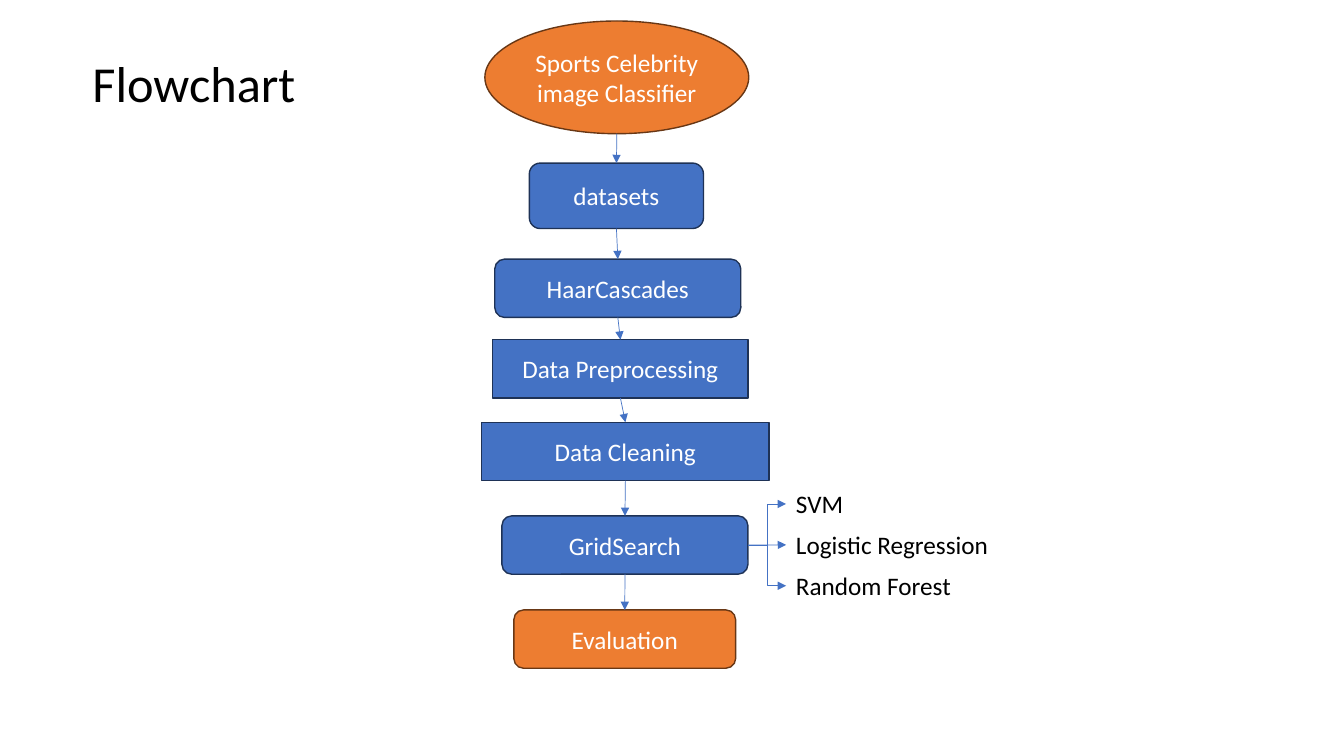
from lxml import etree
from pptx import Presentation
from pptx.dml.color import RGBColor
from pptx.enum.shapes import MSO_CONNECTOR, MSO_SHAPE
from pptx.enum.text import MSO_ANCHOR, MSO_AUTO_SIZE, PP_ALIGN
from pptx.oxml.ns import qn
from pptx.util import Cm, Pt

ELLIPSE = MSO_SHAPE.OVAL
ROUNDED = MSO_SHAPE.ROUNDED_RECTANGLE
RECTANGLE = MSO_SHAPE.RECTANGLE
STRAIGHT = MSO_CONNECTOR.STRAIGHT
ELBOW = MSO_CONNECTOR.ELBOW
CENTER = PP_ALIGN.CENTER
MIDDLE = MSO_ANCHOR.MIDDLE
GROW = MSO_AUTO_SIZE.SHAPE_TO_FIT_TEXT
TOP, LEFT, BOTTOM, RIGHT = range(4)

FONT = "Calibri"
COLOURS = {
    "blue": "4472C4",
    "blue edge": "1E3256",
    "orange": "ED7D31",
    "orange edge": "683715",
    "white": "FFFFFF",
    "black": "000000",
}
STEPS = [
    ("Sports Celebrity image Classifier", ELLIPSE, "orange", 12.22, 0.53, 6.65, 2.84),
    ("datasets", ROUNDED, "blue", 13.34, 4.11, 4.39, 1.65),
    ("HaarCascades", ROUNDED, "blue", 12.47, 6.53, 6.2, 1.47),
    ("Data Preprocessing", RECTANGLE, "blue", 12.42, 8.56, 6.43, 1.47),
    ("Data Cleaning", RECTANGLE, "blue", 12.14, 10.64, 7.24, 1.47),
    ("GridSearch", ROUNDED, "blue", 12.65, 13.0, 6.2, 1.47),
    ("Evaluation", ROUNDED, "orange", 12.95, 15.37, 5.59, 1.47),
]
MODELS = ["SVM", "Logistic Regression", "Random Forest"]
MODEL_LEFT, MODEL_TOP, MODEL_STEP = 19.81, 12.19, 1.03


def colour(name):
    """Return the named colour."""
    return RGBColor.from_string(COLOURS[name])


def write(box, text, size, colour_name):
    """Write one run of text into a box and return its paragraph."""
    box.text_frame.word_wrap = True
    para = box.text_frame.paragraphs[0]
    span = para.add_run()
    span.text = text
    span.font.name = FONT
    span.font.size = Pt(size)
    span.font.color.rgb = colour(colour_name)
    return para


def add_step(page, text, outline, fill, left, top, width, height):
    """Add one filled step of the flow."""
    box = page.shapes.add_shape(outline, Cm(left), Cm(top), Cm(width), Cm(height))
    box.shadow.inherit = False
    box.fill.solid()
    box.fill.fore_color.rgb = colour(fill)
    box.line.color.rgb = colour(fill + " edge")
    box.line.width = Pt(1)
    box.text_frame.vertical_anchor = MIDDLE
    write(box, text, 18, "white").alignment = CENTER
    return box


def add_label(page, text, size, left, top, width, height):
    """Add a plain text box."""
    box = page.shapes.add_textbox(Cm(left), Cm(top), Cm(width), Cm(height))
    write(box, text, size, "black")
    box.text_frame.auto_size = GROW
    return box


def side_point(box, side):
    """Return the middle of one side of a box."""
    across = {LEFT: 0, RIGHT: box.width}.get(side, box.width // 2)
    down = {TOP: 0, BOTTOM: box.height}.get(side, box.height // 2)
    return box.left + across, box.top + down


def add_arrow(page, kind, source, source_side, target, target_side):
    """Add an arrow between the sides of two boxes."""
    start = side_point(source, source_side)
    end = side_point(target, target_side)
    arrow = page.shapes.add_connector(kind, *start, *end)
    if source.name.startswith("Oval") is False:
        arrow.begin_connect(source, source_side)
    arrow.end_connect(target, target_side)
    arrow.line.color.rgb = colour("blue")
    arrow.line.width = Pt(0.5)
    etree.SubElement(arrow.line._get_or_add_ln(), qn("a:tailEnd"), type="triangle")
    etree.SubElement(arrow._element.spPr, qn("a:effectLst"))


def main():
    """Build the flowchart slide."""
    deck = Presentation()
    deck.slide_width, deck.slide_height = Cm(33.87), Cm(19.05)
    page = deck.slides.add_slide(deck.slide_layouts[6])

    add_label(page, "Flowchart", 36, 2.08, 1.19, 5.99, 1.8)
    steps = {step[0]: add_step(page, *step) for step in STEPS}
    flow = list(steps.values())
    for source, target in zip(flow, flow[1:]):
        add_arrow(page, STRAIGHT, source, BOTTOM, target, TOP)

    search = steps["GridSearch"]
    for index, model in enumerate(MODELS):
        top = MODEL_TOP + index * MODEL_STEP
        label = add_label(page, model, 18, MODEL_LEFT, top, 6.58, 1.02)
        kind = STRAIGHT if index == 1 else ELBOW
        add_arrow(page, kind, search, RIGHT, label, LEFT)

    deck.save("out.pptx")


if __name__ == "__main__":
    main()
